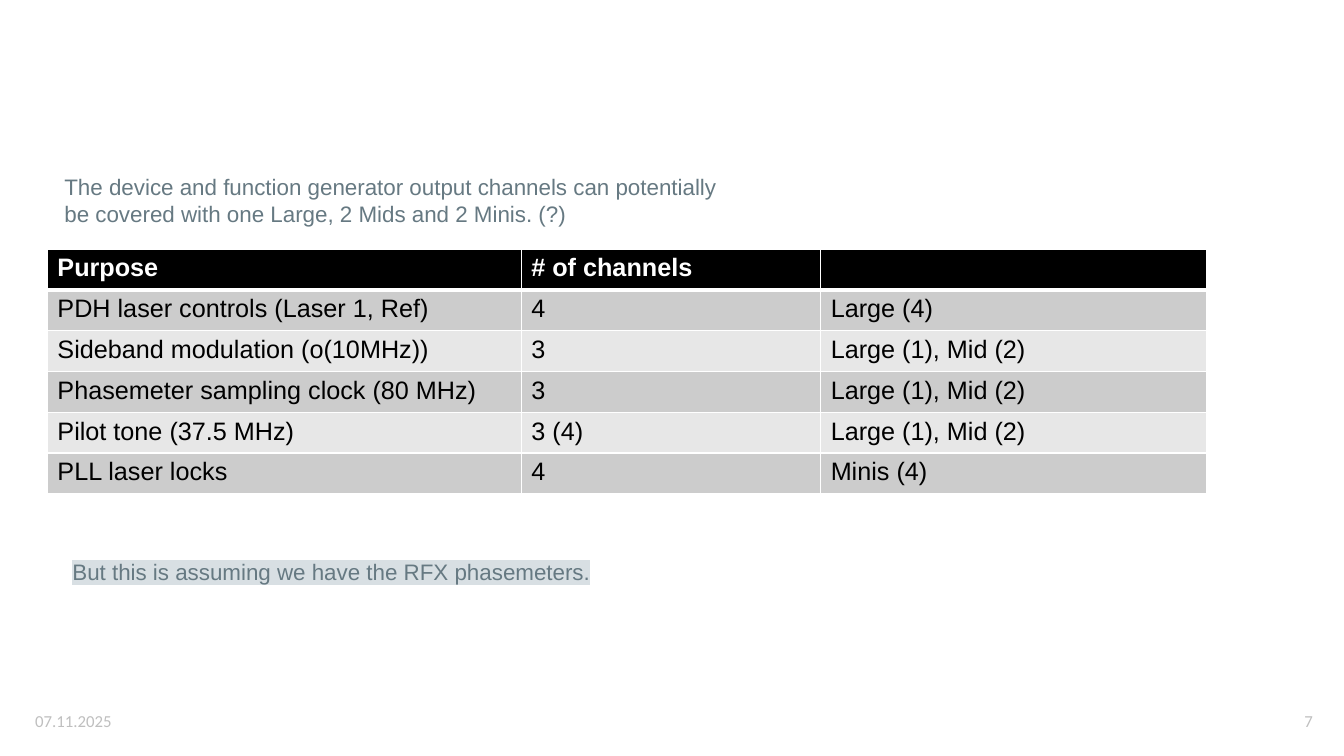
import pptx
import pptx.dml.color
import pptx.enum.text
import pptx.oxml.ns
import pptx.util
from lxml import etree

Inches = pptx.util.Inches
ALIGN = pptx.enum.text.PP_ALIGN
ANCHOR = pptx.enum.text.MSO_ANCHOR
qn = pptx.oxml.ns.qn


def color(hex_value):
    return pptx.dml.color.RGBColor.from_string(hex_value)


def write_text(text, frame, size=16, font="Arial", fill="667982", bold=False,
               align=ALIGN.LEFT, anchor=ANCHOR.TOP, highlight=None):
    frame.word_wrap = True
    frame.vertical_anchor = anchor
    paragraph = frame.paragraphs[0]
    paragraph.alignment = align
    run = paragraph.add_run()
    run.text = text
    run.font.size = pptx.util.Pt(size)
    run.font.name = font
    run.font.bold = bold
    run.font.color.rgb = color(fill)
    if highlight:
        mark = etree.Element(qn("a:highlight"))
        etree.SubElement(mark, qn("a:srgbClr"), val=highlight)
        run.font._element.find(qn("a:solidFill")).addnext(mark)


presentation = pptx.Presentation()
presentation.slide_width = Inches(13.33)
presentation.slide_height = Inches(7.5)
slide = presentation.slides.add_slide(presentation.slide_layouts[6])

# Channel table
rows = [
    ("Purpose", "# of channels", ""),
    ("PDH laser controls (Laser 1, Ref)", "4", "Large (4)"),
    ("Sideband modulation (o(10MHz))", "3", "Large (1), Mid (2)"),
    ("Phasemeter sampling clock (80 MHz)", "3", "Large (1), Mid (2)"),
    ("Pilot tone (37.5 MHz)", "3 (4)", "Large (1), Mid (2)"),
    ("PLL laser locks", "4", "Minis (4)"),
]
column_widths = (4.7, 2.97, 3.83)
table = slide.shapes.add_table(
    len(rows), len(column_widths), Inches(0.47), Inches(2.47),
    Inches(sum(column_widths)), Inches(2.43)).table
for column, width in zip(table.columns, column_widths):
    column.width = Inches(width)

for row_index, row in enumerate(rows):
    header = row_index == 0
    cell_fill = "000000" if header else ("E7E7E7", "CCCCCC")[row_index % 2]
    # The line under the header is thicker than the others
    border_widths = {"L": 1, "R": 1, "T": 3 if row_index == 1 else 1,
                     "B": 3 if header else 1}
    for column_index, text in enumerate(row):
        cell = table.cell(row_index, column_index)
        cell.fill.solid()
        cell.fill.fore_color.rgb = color(cell_fill)
        if text:
            write_text(text, cell.text_frame, size=18, bold=header,
                       fill="FFFFFF" if header else "000000")
        properties = cell._tc.get_or_add_tcPr()
        for position, (side, width) in enumerate(border_widths.items()):
            border = etree.Element(qn(f"a:ln{side}"), w=str(pptx.util.Pt(width)))
            line_fill = etree.SubElement(border, qn("a:solidFill"))
            etree.SubElement(line_fill, qn("a:srgbClr"), val="FFFFFF")
            properties.insert(position, border)

# Remarks around the table, then date and page number
footer = {"size": 12, "font": "Calibri", "fill": "BFBFBF", "anchor": ANCHOR.MIDDLE}
texts = [
    ("The device and function generator output channels can potentially "
     "be covered with one Large, 2 Mids and 2 Minis. (?)",
     (0.54, 1.67, 6.67, 0.64), {}),
    ("But this is assuming we have the RFX phasemeters.",
     (0.62, 5.49, 6.67, 0.37), {"highlight": "D8DFE3"}),
    ("07.11.2025", (0.25, 6.95, 3, 0.4), footer),
    ("7", (10.12, 6.95, 3, 0.4), {**footer, "align": ALIGN.RIGHT}),
]
for text, box, text_format in texts:
    text_box = slide.shapes.add_textbox(*map(Inches, box))
    write_text(text, text_box.text_frame, **text_format)

presentation.save("out.pptx")
